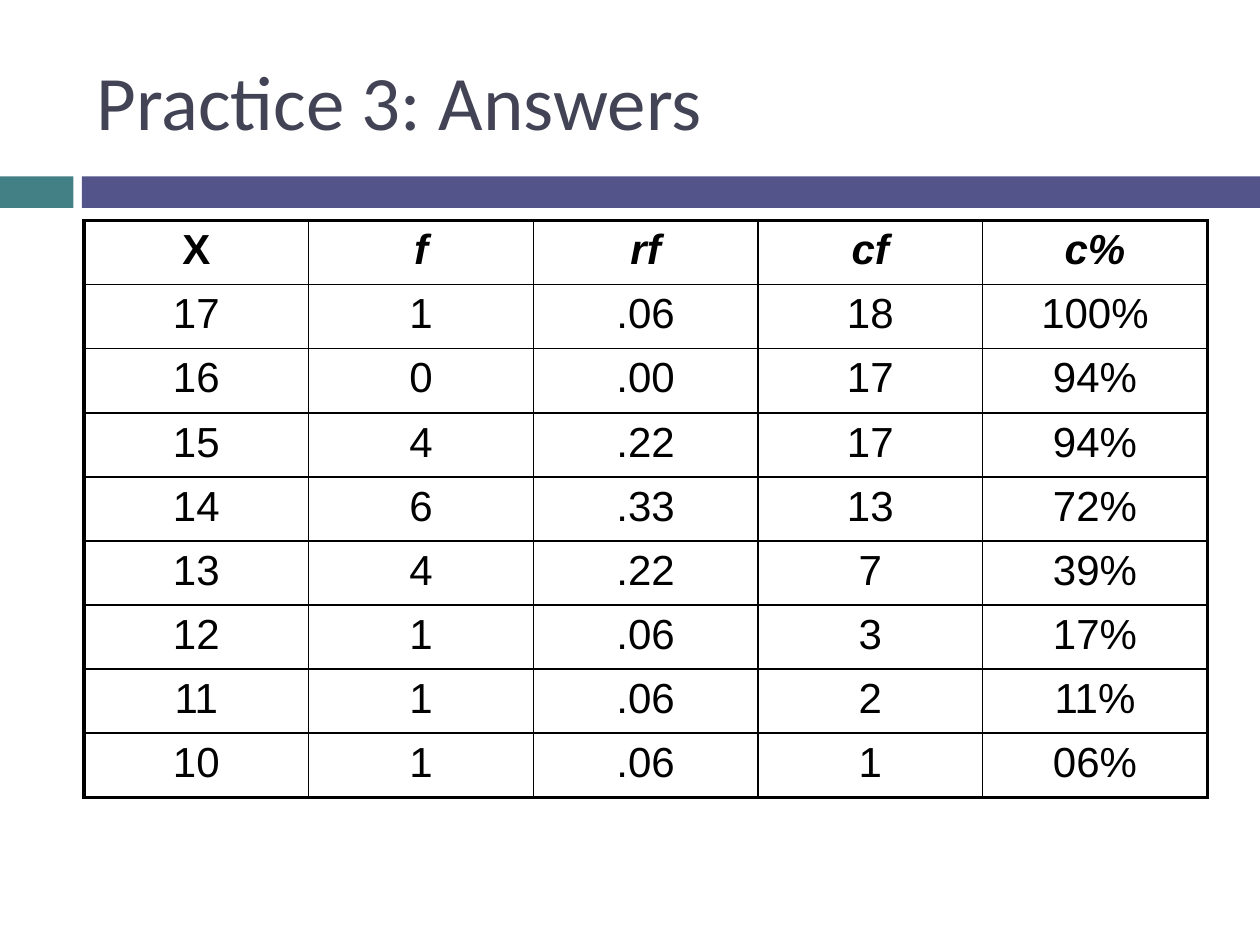
from dataclasses import dataclass

from lxml import etree
from pptx import Presentation
from pptx import util as u
from pptx.dml.color import RGBColor
from pptx.enum import shapes, text
from pptx.oxml import ns

HEADERS = ["X", "f", "rf", "cf", "c%"]
SCORES = [
    ["17", "1", ".06", "18", "100%"],
    ["16", "0", ".00", "17", "94%"],
    ["15", "4", ".22", "17", "94%"],
    ["14", "6", ".33", "13", "72%"],
    ["13", "4", ".22", "7", "39%"],
    ["12", "1", ".06", "3", "17%"],
    ["11", "1", ".06", "2", "11%"],
    ["10", "1", ".06", "1", "06%"],
]
TABLE_LEFT, TABLE_TOP = 48, 126
COLUMN_WIDTH, ROW_HEIGHT = 128.4, 36.64
OUTER_LINE, INNER_LINE = 2.25, 1


@dataclass
class Bar:
    left: float
    width: float
    color: str


@dataclass
class TextStyle:
    font: str
    size: float
    color: str
    bold: bool = False
    italic: bool = False


BARS = [Bar(0, 42, "438086"), Bar(46.8, 673.2, "53548A")]


def set_color(color_format, value: str) -> None:
    color_format.rgb = RGBColor.from_string(value)


def add_bar(slide, bar: Bar) -> None:
    shape = slide.shapes.add_shape(
        shapes.MSO_SHAPE.RECTANGLE,
        u.Pt(bar.left), u.Pt(100.8), u.Pt(bar.width), u.Pt(18),
    )
    shape.shadow.inherit = False
    shape.fill.solid()
    set_color(shape.fill.fore_color, bar.color)
    shape.line.fill.background()


def add_run(paragraph, wording: str, style: TextStyle) -> None:
    run = paragraph.add_run()
    run.text = wording
    run.font.name = style.font
    run.font.size = u.Pt(style.size)
    run.font.bold = style.bold
    run.font.italic = style.italic
    set_color(run.font.color, style.color)


def add_title(slide, wording: str) -> None:
    shape = slide.shapes.add_textbox(u.Pt(48), u.Pt(18), u.Pt(642), u.Pt(78))
    frame = shape.text_frame
    frame.word_wrap = True
    frame.vertical_anchor = text.MSO_ANCHOR.MIDDLE
    add_run(frame.paragraphs[0], wording, TextStyle("Calibri", 44, "424456"))


def set_borders(cell, widths: dict[str, float], color: str) -> None:
    properties = cell._tc.get_or_add_tcPr()
    for position, (side, width) in enumerate(widths.items()):
        line = etree.Element(ns.qn(f"a:ln{side}"), w=str(u.Pt(width)))
        fill = etree.SubElement(line, ns.qn("a:solidFill"))
        etree.SubElement(fill, ns.qn("a:srgbClr"), val=color)
        properties.insert(position, line)


def add_score_table(slide, rows: list[list[str]]) -> None:
    row_count, column_count = len(rows), len(rows[0])
    table = slide.shapes.add_table(
        row_count, column_count, u.Pt(TABLE_LEFT), u.Pt(TABLE_TOP),
        u.Pt(COLUMN_WIDTH * column_count), u.Pt(ROW_HEIGHT * row_count),
    ).table
    table.first_row = False
    table.horz_banding = False
    for column in table.columns:
        column.width = u.Pt(COLUMN_WIDTH)
    for row_index, values in enumerate(rows):
        table.rows[row_index].height = u.Pt(ROW_HEIGHT)
        is_header = row_index == 0
        for column_index, value in enumerate(values):
            cell = table.cell(row_index, column_index)
            cell.fill.background()
            on_edge = {
                "L": column_index == 0,
                "R": column_index == column_count - 1,
                "T": is_header,
                "B": row_index == row_count - 1,
            }
            widths = {
                side: OUTER_LINE if edge else INNER_LINE
                for side, edge in on_edge.items()
            }
            set_borders(cell, widths, "000000")
            paragraph = cell.text_frame.paragraphs[0]
            paragraph.alignment = text.PP_ALIGN.CENTER
            italic = is_header and column_index > 0
            style = TextStyle("Arial", 24, "000000", is_header, italic)
            add_run(paragraph, value, style)


def main() -> None:
    presentation = Presentation()
    presentation.slide_width = u.Pt(720)
    presentation.slide_height = u.Pt(540)
    slide = presentation.slides.add_slide(presentation.slide_layouts[6])
    for bar in BARS:
        add_bar(slide, bar)
    add_title(slide, "Practice 3: Answers")
    add_score_table(slide, [HEADERS, *SCORES])
    presentation.save("out.pptx")


if __name__ == "__main__":
    main()
